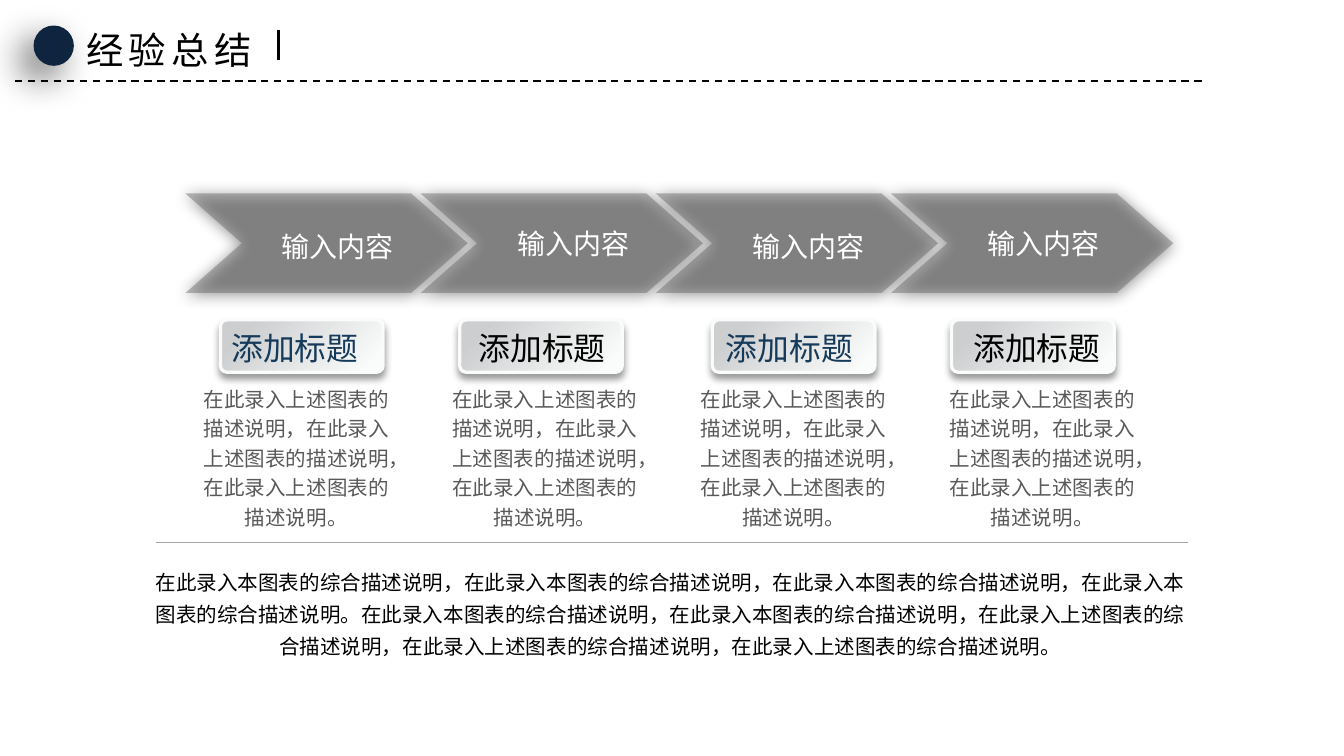
from lxml.etree import SubElement
from pptx import Presentation
from pptx.dml.color import RGBColor
from pptx.enum.dml import MSO_LINE
from pptx.enum.shapes import MSO_CONNECTOR, MSO_SHAPE
from pptx.enum.text import MSO_ANCHOR, MSO_AUTO_SIZE, PP_ALIGN
from pptx.oxml.ns import qn
from pptx.util import Inches, Pt

FONT = "Noto Sans CJK SC"
BLACK, WHITE, GRAY, NAVY = "000000", "FFFFFF", "595959", "163A5A"
PALE = "FAFCFB"
PAGE_WIDTH = 10
PAGE_HEIGHT = PAGE_WIDTH * 9 / 16
COLUMNS = 4
STEP_PITCH, HEADING_PITCH, NOTE_PITCH = 1.75, 1.84, 1.85
CARD_LEFTS = (1.64, 3.42, 5.3, 7.08)
NOTE = "在此录入上述图表的描述说明，" * 2 + "在此录入上述图表的描述说明。"
SUMMARY = (
    "在此录入本图表的综合描述说明，在此录入本图表的综合描述说明，"
    "在此录入本图表的综合描述说明，在此录入本图表的综合描述说明。"
    "在此录入本图表的综合描述说明，在此录入本图表的综合描述说明，"
    "在此录入上述图表的综合描述说明，在此录入上述图表的综合描述说明，"
    "在此录入上述图表的综合描述说明。"
)


def color(value):
    return RGBColor.from_string(value)


def inches(*lengths):
    return [Inches(length) for length in lengths]


def add_shadow(shape, opacity, blur, distance, angle):
    """Give the shape a black outer shadow; opacity in percent, lengths in points."""
    shape.shadow.inherit = False
    effects = shape._element.spPr.find(qn("a:effectLst"))
    shadow = SubElement(effects, qn("a:outerShdw"), blurRad=str(Pt(blur)),
                        dist=str(Pt(distance)), dir=str(angle * 60000),
                        algn="ctr", rotWithShape="0")
    tint = SubElement(shadow, qn("a:srgbClr"), val=BLACK)
    SubElement(tint, qn("a:alpha"), val=str(opacity * 1000))


def write(shape, text, size, ink, align=PP_ALIGN.CENTER, spacing=1.0,
          font=FONT, anchor=MSO_ANCHOR.TOP, wrap=True):
    frame = shape.text_frame
    frame.text = text
    frame.word_wrap = wrap
    frame.auto_size = MSO_AUTO_SIZE.SHAPE_TO_FIT_TEXT
    frame.vertical_anchor = anchor
    para = frame.paragraphs[0]
    para.alignment = align
    para.line_spacing = spacing
    span = para.runs[0]
    span.font.name = font
    span.font.size = Pt(size)
    span.font.color.rgb = color(ink)
    SubElement(span._r.get_or_add_rPr(), qn("a:ea"), typeface=FONT)
    return span


def add_text(page, area, text, size, ink, **style):
    """Add a text box with narrow margins."""
    box = page.shapes.add_textbox(*inches(*area))
    frame = box.text_frame
    frame.margin_left = frame.margin_right = Inches(0.07)
    frame.margin_top = frame.margin_bottom = Inches(0.04)
    write(box, text, size, ink, **style)


def add_line(page, start, end, ink, width, dash=None):
    line = page.shapes.add_connector(MSO_CONNECTOR.STRAIGHT, *inches(*start, *end))
    line.line.color.rgb = color(ink)
    line.line.width = Pt(width)
    if dash:
        line.line.dash_style = dash
    SubElement(line._element.spPr, qn("a:effectLst"))


def add_card(page, left):
    """Add the raised plate behind a column heading."""
    card = page.shapes.add_shape(MSO_SHAPE.ROUNDED_RECTANGLE,
                                 *inches(left, 2.38, 1.21, 0.39))
    card.adjustments[0] = 0.125
    card.fill.gradient()
    card.fill.gradient_angle = 315
    stops = ((0.15, "CDCED0"), (0.92, PALE))
    for stop, (position, tint) in zip(card.fill.gradient_stops, stops):
        stop.position = position
        stop.color.rgb = color(tint)
    card.line.color.rgb = color(PALE)
    card.line.width = Pt(1.75)
    add_shadow(card, 40, 4, 3, 90)


def add_step(page, column):
    """Add one translucent arrow of the process with its label."""
    left, top, width, height, notch = 1.38 + column * STEP_PITCH, 1.44, 2.1, 0.74, 0.42
    right, middle, bottom = left + width, top + height / 2, top + height
    outline = page.shapes.build_freeform(*inches(left, top))
    corners = ((right - notch, top), (right, middle), (right - notch, bottom),
               (left, bottom), (left + notch, middle))
    outline.add_line_segments([inches(*corner) for corner in corners], close=True)
    arrow = outline.convert_to_shape()
    arrow.fill.solid()
    arrow.fill.fore_color.rgb = color(GRAY)
    tint = arrow._element.spPr.find(qn("a:solidFill")).find(qn("a:srgbClr"))
    SubElement(tint, qn("a:alpha"), val="40000")
    arrow.line.fill.background()
    add_shadow(arrow, 100, 8.5, 1, 90)
    add_text(page, (left + 0.25, 1.62, 1.77, 0.38), "输入内容", 15, WHITE,
             font="Arial", anchor=MSO_ANCHOR.MIDDLE,
             spacing=1.0 if column % 2 else 1.2)


def add_column(page, column):
    """Add the heading and the note below one step."""
    add_text(page, (1.64 + column * HEADING_PITCH, 2.41, 1.11, 0.36), "添加标题",
             17, BLACK if column % 2 else NAVY, wrap=False)
    add_text(page, (1.43 + column * NOTE_PITCH, 2.8, 1.55, 1.19), NOTE,
             11, GRAY, spacing=1.2)


def add_header(page):
    title = page.shapes.title
    title.left, title.top, title.width, title.height = inches(0.54, 0.15, 1.49, 0.44)
    span = write(title, "经验总结", 20, BLACK, align=PP_ALIGN.LEFT, wrap=False)
    span._r.get_or_add_rPr().set("spc", "300")
    add_line(page, (0.11, 0.6), (8.98, 0.6), BLACK, 1, MSO_LINE.DASH)
    dot = page.shapes.add_shape(MSO_SHAPE.OVAL, *inches(0.25, 0.19, 0.3, 0.3))
    dot.fill.solid()
    dot.fill.fore_color.rgb = color("0F243E")
    dot.line.fill.background()
    add_shadow(dot, 60, 20, 10, 135)
    add_line(page, (2.07, 0.22), (2.07, 0.45), BLACK, 1.5)


def main():
    deck = Presentation()
    deck.slide_width, deck.slide_height = inches(PAGE_WIDTH, PAGE_HEIGHT)
    page = deck.slides.add_slide(deck.slide_layouts[5])
    for left in CARD_LEFTS:
        add_card(page, left)
    for column in range(COLUMNS):
        add_step(page, column)
        add_column(page, column)
    add_text(page, (1.04, 4.15, 7.9, 0.8), SUMMARY, 11, BLACK, spacing=1.3)
    add_line(page, (1.16, 4.04), (8.84, 4.04), "A5A5A5", 0.5)
    add_header(page)
    deck.save("out.pptx")


if __name__ == "__main__":
    main()
